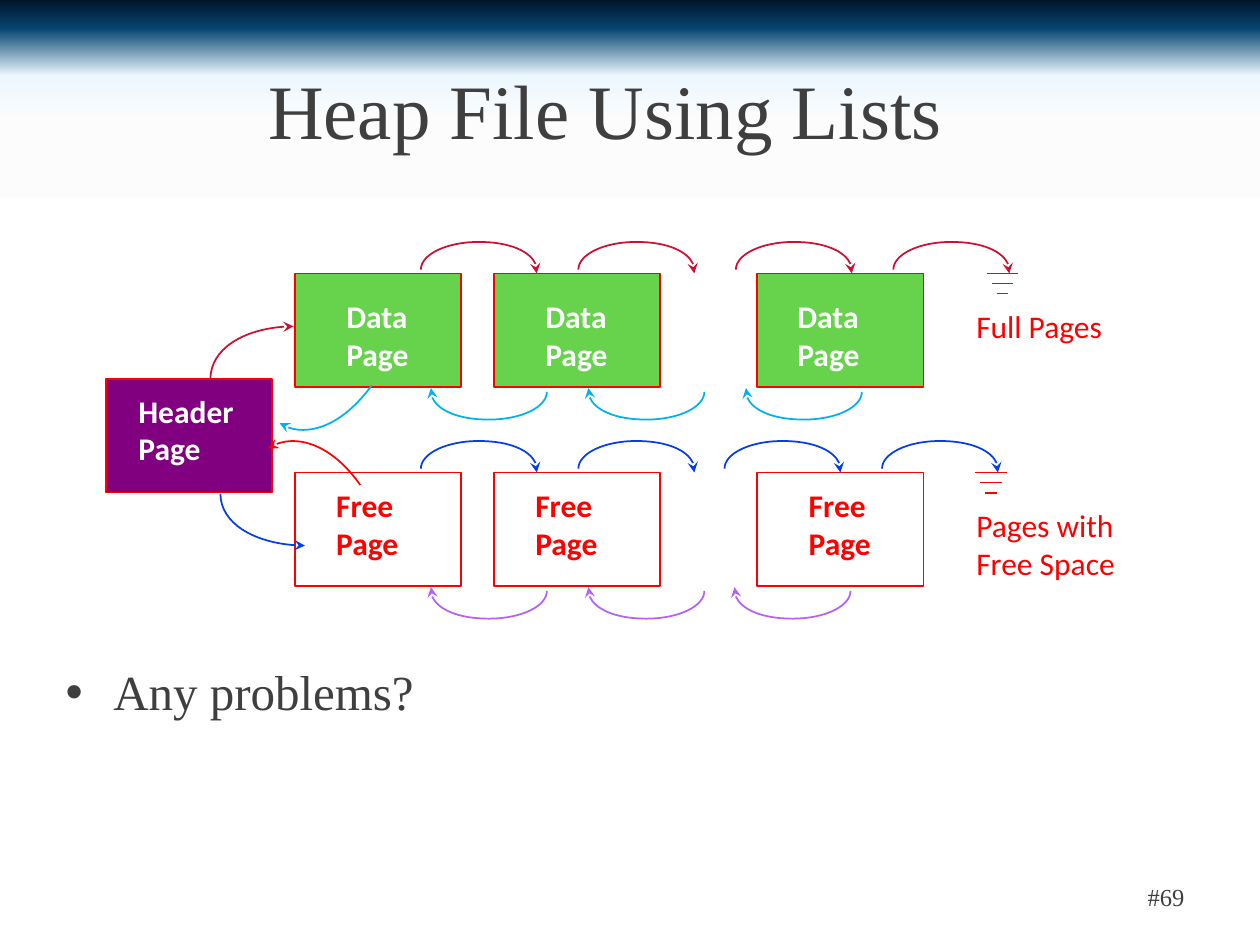
from lxml.etree import SubElement
from pptx import Presentation
from pptx.dml.color import RGBColor
from pptx.enum.shapes import MSO_CONNECTOR, MSO_SHAPE
from pptx.enum.text import MSO_ANCHOR, MSO_AUTO_SIZE, PP_ALIGN
from pptx.oxml.ns import qn
from pptx.util import Inches, Pt

SERIF, SANS = "Times New Roman", "Calibri"
GRAY, RED, WHITE = "3F3F3F", "FF0000", "FFFFFF"
CRIMSON, SKY, BLUE, VIOLET = "CF0E30", "00B0F0", "063DE8", "B760F9"
PAGE_WIDTH, PAGE_HEIGHT = 1.32, 0.9
HOP_WIDTH, HOP_HEIGHT = 0.92, 0.25
HOP = [(0, 0.22), (0, 0.1), (0.2, 0), (0.46, 0), (0.71, 0), (0.92, 0.1),
       (0.92, 0.22), (0.92, 0.23), (0.92, 0.24), (0.92, 0.25)]
BACK_HOP = [(HOP_WIDTH - x, HOP_HEIGHT - y) for x, y in HOP]


def color(value):
    return RGBColor.from_string(value)


def paint_background(page, stops):
    fill = page.background.fill
    fill.gradient()
    fill.gradient_angle = 270
    stop_list = fill._fill._gradFill.find(qn("a:gsLst"))
    for stop in list(stop_list):
        stop_list.remove(stop)
    for percent, value in stops:
        stop = SubElement(stop_list, qn("a:gs"), pos=str(percent * 1000))
        SubElement(stop, qn("a:srgbClr"), val=value)


def write(frame, text, *, size, font=SANS, ink=GRAY, bold=False,
          align=PP_ALIGN.LEFT, bullet=None):
    for index, line in enumerate(text.split("\n")):
        para = frame.paragraphs[0] if index == 0 else frame.add_paragraph()
        if bullet:
            properties = para._p.get_or_add_pPr()
            properties.set("marL", str(Inches(0.38)))
            properties.set("indent", str(Inches(-0.38)))
            SubElement(properties, qn("a:buChar"), char=bullet)
            para.line_spacing = 0.9
        para.space_before = Pt(0)
        para.alignment = align
        span = para.add_run()
        span.text = line
        span.font.name, span.font.size = font, Pt(size)
        span.font.bold = bold
        span.font.color.rgb = color(ink)


def fill_placeholder(holder, left, top, width, height, text, anchor, **style):
    holder.left, holder.top = Inches(left), Inches(top)
    holder.width, holder.height = Inches(width), Inches(height)
    frame = holder.text_frame
    frame.auto_size = MSO_AUTO_SIZE.NONE
    frame.vertical_anchor = anchor
    write(frame, text, font=SERIF, **style)


def add_label(page, left, top, width, text, **style):
    height = 0.4 if "\n" not in text else 0.7
    box = page.shapes.add_textbox(
        Inches(left), Inches(top), Inches(width), Inches(height))
    box.text_frame.word_wrap = False
    write(box.text_frame, text, **style)


def add_block(page, left, top, fill, text, text_left, text_top, text_width, ink):
    block = page.shapes.add_shape(
        MSO_SHAPE.RECTANGLE, Inches(left), Inches(top),
        Inches(PAGE_WIDTH), Inches(PAGE_HEIGHT))
    block.shadow.inherit = False
    if fill:
        block.fill.solid()
        block.fill.fore_color.rgb = color(fill)
    else:
        block.fill.background()
    block.line.color.rgb = color(RED)
    block.line.width = Pt(1)
    add_label(page, left + text_left, top + text_top, text_width, text,
              size=18, ink=ink, bold=True)


def add_curved_arrow(page, left, top, points, ink):
    places = [(Inches(left + x), Inches(top + y)) for x, y in points]
    builder = page.shapes.build_freeform(*places[0], scale=1.0)
    builder.add_line_segments(places[1:], close=False)
    arrow = builder.convert_to_shape()
    path = arrow._element.find(".//" + qn("a:path"))
    segments = path.findall(qn("a:lnTo"))
    for start in range(0, len(segments), 3):
        curve = SubElement(path, qn("a:cubicBezTo"))
        for segment in segments[start:start + 3]:
            curve.append(segment[0])
            path.remove(segment)
    arrow.shadow.inherit = False
    arrow.fill.background()
    arrow.line.color.rgb = color(ink)
    arrow.line.width = Pt(1)
    SubElement(arrow.line._get_or_add_ln(), qn("a:tailEnd"), type="stealth")


def add_ground(page, left, top):
    for step in range(3):
        inset, y = 0.04 * step, top + 0.08 * step
        bar = page.shapes.add_connector(
            MSO_CONNECTOR.STRAIGHT, Inches(left + inset), Inches(y),
            Inches(left + 0.25 - inset), Inches(y))
        bar.line.color.rgb = color(RED)
        bar.line.width = Pt(1)
        SubElement(bar._element.spPr, qn("a:effectLst"))


def add_page_list(page, left, top, *, text, text_lefts, text_top, fill, ink,
                  hops, next_ink, back_ink, caption, caption_width):
    for offset, text_left in zip((0, 1.58, 3.67), text_lefts):
        add_block(page, left + offset, top, fill, text,
                  text_left, text_top, 0.72, ink)
    for offset in hops:
        add_curved_arrow(page, left + offset, top - HOP_HEIGHT, HOP, next_ink)
    for offset in hops[:-1]:
        add_curved_arrow(page, left + offset + 0.08, top + 0.91,
                         BACK_HOP, back_ink)
    add_ground(page, left + hops[-1] + 0.74, top)
    add_label(page, left + 5.31, top + 0.22, caption_width, caption,
              size=18, ink=RED)


def add_header_page(page, left, top):
    add_block(page, left, top, "800080", "Header\nPage", 0.16, 0.05, 0.99, WHITE)
    links = [
        (CRIMSON, [(0.83, 0), (0.83, -0.24), (1.13, -0.42), (1.49, -0.42)]),
        (SKY, [(2.11, 0.05), (1.89, 0.35), (1.57, 0.48), (1.38, 0.35)]),
        (RED, [(2.02, 0.84), (1.81, 0.54), (1.48, 0.41), (1.29, 0.55)]),
        (BLUE, [(0.91, 0.91), (0.91, 1.14), (1.21, 1.32), (1.58, 1.32)]),
    ]
    for ink, points in links:
        add_curved_arrow(page, left, top, points, ink)


def main():
    deck = Presentation()
    deck.slide_width, deck.slide_height = Inches(10), Inches(7.5)
    page = deck.slides.add_slide(deck.slide_layouts[1])
    paint_background(page, [(0, "011629"), (3, "054470"), (8, "ECF7FE"),
                            (13, "FCFCFC"), (21, WHITE), (98, WHITE)])
    title, body = page.placeholders
    fill_placeholder(title, 0.17, 0.3, 9.42, 1.12, "Heap File Using Lists ",
                     MSO_ANCHOR.MIDDLE, size=44, align=PP_ALIGN.CENTER)
    fill_placeholder(body, 0.42, 5.25, 8.42, 0.68, "Any problems?",
                     MSO_ANCHOR.TOP, size=28, bullet="•")
    add_page_list(page, 2.34, 2.17, text="Data\nPage",
                  text_lefts=(0.31, 0.31, 0.22), text_top=0.14,
                  fill="67D34D", ink=WHITE, hops=(1, 2.25, 3.5, 4.75),
                  next_ink=CRIMSON, back_ink=SKY,
                  caption="Full Pages", caption_width=1.34)
    add_page_list(page, 2.34, 3.75, text="Free\nPage",
                  text_lefts=(0.23, 0.23, 0.31), text_top=0.06,
                  fill=None, ink=RED, hops=(1, 2.25, 3.41, 4.66),
                  next_ink=BLUE, back_ink=VIOLET,
                  caption="Pages with\nFree Space", caption_width=1.41)
    add_header_page(page, 0.84, 3.01)
    add_label(page, 7.17, 6.95, 2.33, "#69", size=14, font=SERIF,
              align=PP_ALIGN.RIGHT)
    deck.save("out.pptx")


if __name__ == "__main__":
    main()
